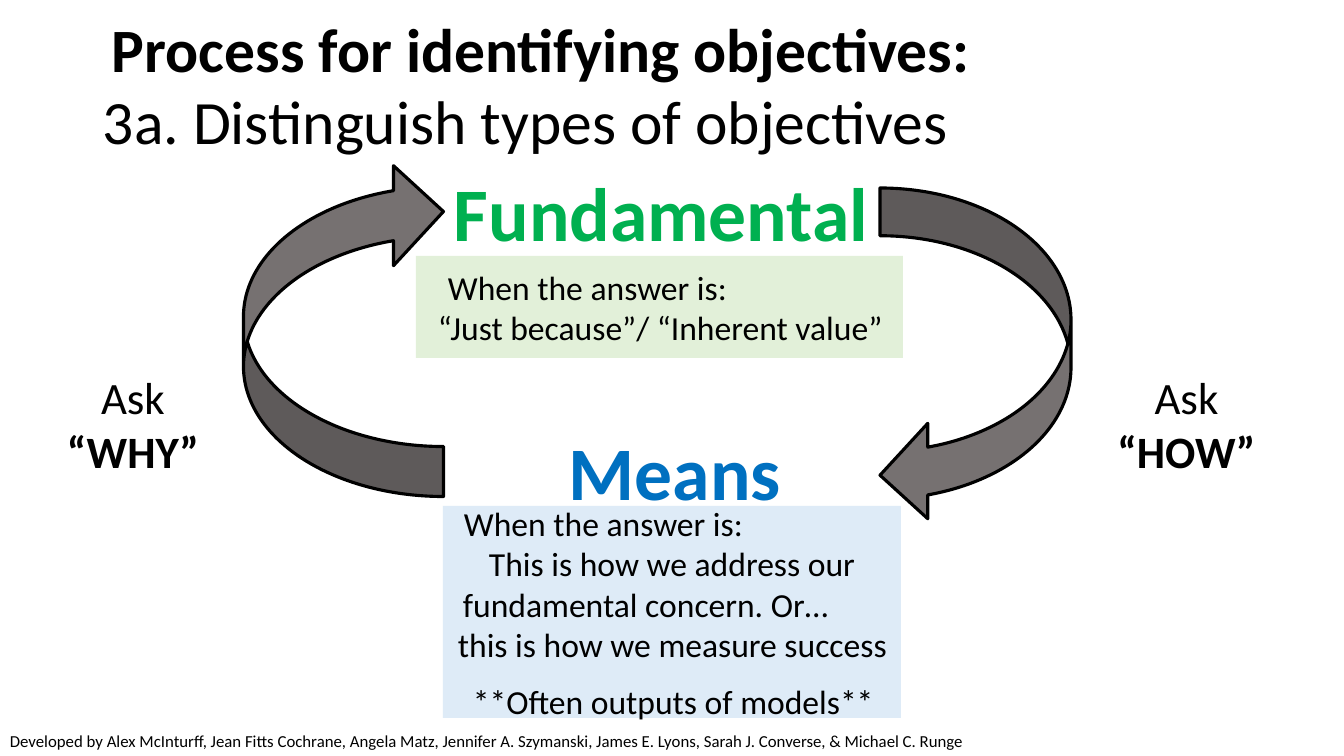
from pptx import Presentation
from pptx.dml.color import RGBColor
from pptx.enum.shapes import MSO_SHAPE as Shape
from pptx.enum.text import MSO_ANCHOR as Anchor, PP_ALIGN as Align
from pptx.util import Pt

PX = 12192000 / 1344
BLACK = "000000"


def color(value):
    return RGBColor.from_string(value)


def write(box, lines, size, ink=BLACK, align=Align.LEFT, anchor=Anchor.TOP, spacing=None):
    frame = box.text_frame
    frame.word_wrap = True
    frame.vertical_anchor = anchor
    for index, (text, bold, indent, before) in enumerate(lines):
        para = frame.paragraphs[0] if index == 0 else frame.add_paragraph()
        para.text = text
        para.alignment = align
        para.line_spacing = spacing
        para.space_before = Pt(before)
        if indent:
            para._p.get_or_add_pPr().set("marL", str(round(indent * PX)))
        para.font.name = "Calibri"
        para.font.size = Pt(size)
        para.font.bold = bold
        para.font.color.rgb = color(ink)


deck = Presentation()
deck.slide_width, deck.slide_height = round(1344 * PX), round(756 * PX)
page = deck.slides.add_slide(deck.slide_layouts[6])

titles = [
    ((102, -20, 1159, 146), "Process for identifying objectives:", True),
    ((93, 52, 1159, 146), "3a. Distinguish types of objectives", False),
]
for area, text, bold in titles:
    box = page.shapes.add_textbox(*[round(v * PX) for v in area])
    write(box, [(text, bold, 0, 0)], 44, anchor=Anchor.MIDDLE, spacing=0.9)

headings = [
    ((444, 161, 460, 102), "Fundamental", "00B050", Align.LEFT),
    ((446, 420, 458, 102), "Means", "0070C0", Align.CENTER),
]
for area, text, ink, align in headings:
    box = page.shapes.add_textbox(*[round(v * PX) for v in area])
    write(box, [(text, True, 0, 0)], 54, ink, align)

for area, rotation in [((176, 229, 335, 200), 270), ((808, 260, 335, 191), 90)]:
    arrow = page.shapes.add_shape(Shape.CURVED_DOWN_ARROW, *[round(v * PX) for v in area])
    arrow.rotation = rotation
    arrow.shadow.inherit = False
    arrow.fill.solid()
    arrow.fill.fore_color.rgb = color("767171")
    arrow.line.color.rgb = color(BLACK)
    arrow.line.width = Pt(2.25)

for area, question in [((44, 365, 178, 119), "“WHY”"), ((1102, 365, 169, 119), "“HOW”")]:
    box = page.shapes.add_textbox(*[round(v * PX) for v in area])
    write(box, [("Ask", False, 0, 0), (question, True, 0, 0)], 32, align=Align.CENTER)

answers = [
    ((416, 256, 487, 102), "E2F0D9", [
        ("When the answer is:", False, 22, 0),
        ("“Just because”/ “Inherent value”", False, 12, 0),
    ]),
    ((443, 506, 458, 212), "DEEBF7", [
        ("When the answer is:", False, 11, 0),
        ("This is how we address our", False, 36, 0),
        ("fundamental concern. Or…", False, 10, 0),
        ("this is how we measure success", False, 5, 0),
        ("**Often outputs of models**", False, 20, 12),
    ]),
]
for area, fill, lines in answers:
    panel = page.shapes.add_shape(Shape.RECTANGLE, *[round(v * PX) for v in area])
    panel.shadow.inherit = False
    panel.fill.solid()
    panel.fill.fore_color.rgb = color(fill)
    panel.line.fill.background()
    write(panel, lines, 24, anchor=Anchor.MIDDLE)

credit = page.shapes.add_textbox(*[round(v * PX) for v in (0, 726, 983, 30)])
write(credit, [(
    "Developed by Alex McInturff, Jean Fitts Cochrane, Angela Matz, Jennifer A. Szymanski, "
    "James E. Lyons, Sarah J. Converse, & Michael C. Runge", False, 0, 0)], 12)

deck.save("out.pptx")
